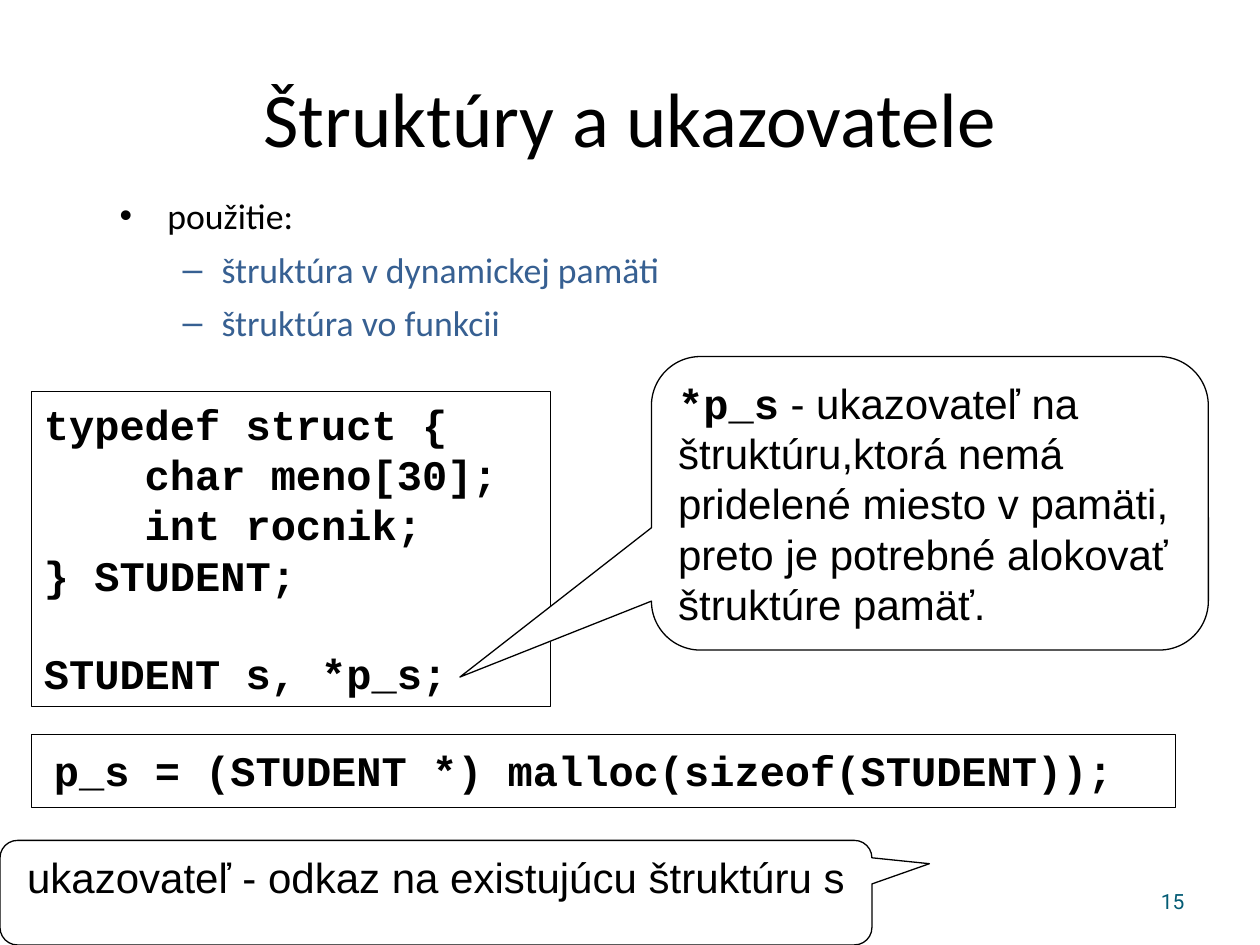
"""Builds a slide on C structures and pointers."""
from pptx import Presentation
from pptx.dml.color import RGBColor
from pptx.enum.shapes import MSO_SHAPE
from pptx.enum.text import MSO_ANCHOR, MSO_AUTO_SIZE, PP_ALIGN
from pptx.oxml.ns import qn
from pptx.util import Inches, Pt
from lxml import etree

RECTANGLE = MSO_SHAPE.RECTANGLE
CALLOUT = MSO_SHAPE.ROUNDED_RECTANGULAR_CALLOUT
TOP, MIDDLE = MSO_ANCHOR.TOP, MSO_ANCHOR.MIDDLE
LEFT, CENTER, RIGHT = PP_ALIGN.LEFT, PP_ALIGN.CENTER, PP_ALIGN.RIGHT
FIT, NO_FIT = MSO_AUTO_SIZE.SHAPE_TO_FIT_TEXT, MSO_AUTO_SIZE.NONE
BLACK, WHITE, BLUE, TEAL = "000000", "FFFFFF", "376092", "045C75"
CODE = {"name": "Courier New", "bold": True}


def color(value):
    return RGBColor.from_string(value)


def add_span(para, text, name="Arial", size=24, ink=BLACK, bold=False):
    span = para.add_run()
    span.text = text
    span.font.name = name
    span.font.size = Pt(size)
    span.font.bold = bold
    span.font.color.rgb = color(ink)


def add_bullet(para, mark, ink, margin, hanging):
    properties = para._p.get_or_add_pPr()
    properties.set("marL", str(Inches(margin)))
    properties.set("indent", str(-Inches(hanging)))
    holder = etree.SubElement(properties, qn("a:buClr"))
    etree.SubElement(holder, qn("a:srgbClr"), val=ink)
    etree.SubElement(properties, qn("a:buFont"), typeface="Arial")
    etree.SubElement(properties, qn("a:buChar"), char=mark)


class SlideBuilder:
    """Holds the style and the current slide."""

    def __init__(self, slide):
        self.slide = slide
        self.shapes = slide.shapes
        self.line_width = Pt(0.75)

    def prepare(self, box, anchor=TOP, wrap=True, fit=NO_FIT):
        frame = box.text_frame
        frame.word_wrap = wrap
        frame.auto_size = fit
        frame.vertical_anchor = anchor
        return frame

    def label(self, place, text, shapes=None, align=LEFT, anchor=TOP,
              wrap=True, fit=NO_FIT, **style):
        box = (shapes or self.shapes).add_textbox(*map(Inches, place))
        para = self.prepare(box, anchor, wrap, fit).paragraphs[0]
        para.alignment = align
        add_span(para, text, **style)

    def outlined(self, kind, place, shapes=None):
        shape = (shapes or self.shapes).add_shape(kind, *map(Inches, place))
        shape.shadow.inherit = False
        shape.fill.solid()
        shape.fill.fore_color.rgb = color(WHITE)
        shape.line.color.rgb = color(BLACK)
        shape.line.width = self.line_width
        return shape

    def bullets(self, place, items):
        frame = self.prepare(self.shapes.add_textbox(*map(Inches, place)))
        for index, (level, text) in enumerate(items):
            para = frame.paragraphs[0] if index == 0 else frame.add_paragraph()
            mark, ink, margin, hanging = (("•", BLACK, 0.38, 0.38),
                                          ("–", BLUE, 0.81, 0.31))[level]
            para.level = level
            if index:
                para.space_before = Pt(6)
            add_bullet(para, mark, ink, margin, hanging)
            add_span(para, text, name="Calibri", size=20.4, ink=ink)

    def code_block(self, place, blocks, gap):
        frame = self.prepare(self.outlined(RECTANGLE, place), fit=FIT)
        para = None
        for block in blocks:
            for index, line in enumerate(block):
                first = para is None
                para = frame.paragraphs[0] if first else frame.add_paragraph()
                para.alignment = LEFT
                if index == 0 and not first:
                    para.space_before = Pt(gap)
                add_span(para, line, **CODE)

    def framed_code(self, frame_place, text_place, text):
        group = self.shapes.add_group_shape()
        self.outlined(RECTANGLE, frame_place, group.shapes)
        self.label(text_place, text, group.shapes, wrap=False, fit=FIT, **CODE)

    def callout(self, place, tip, spans, align=LEFT):
        shape = self.outlined(CALLOUT, place)
        shape.adjustments[0], shape.adjustments[1] = tip
        shape.adjustments[2] = 0.167
        para = self.prepare(shape).paragraphs[0]
        para.alignment = align
        for text, style in spans:
            add_span(para, text, **style)


def main():
    deck = Presentation()
    deck.slide_width, deck.slide_height = Inches(10), Inches(7.5)
    page = SlideBuilder(deck.slides.add_slide(deck.slide_layouts[6]))

    page.label((0.5, 0.3, 9, 1.25), "Štruktúry a ukazovatele",
               align=CENTER, anchor=MIDDLE, name="Calibri", size=44)
    page.bullets((0.85, 1.49, 7.89, 1.26), [
        (0, "použitie:"),
        (1, "štruktúra v dynamickej pamäti"),
        (1, "štruktúra vo funkcii"),
    ])
    page.label((7.17, 6.95, 2.33, 0.4), "15", align=RIGHT, anchor=MIDDLE,
               name="Roboto", size=12, ink=TEAL)
    page.code_block((0.25, 3.11, 4.12, 2.5), [
        ["typedef struct {", "    char meno[30];", "    int rocnik;", "} STUDENT;"],
        ["STUDENT s, *p_s;"],
    ], gap=27.2)
    page.framed_code((0.25, 5.83, 9.08, 0.58), (0.33, 5.86, 8.6, 0.5),
                     "p_s = (STUDENT *) malloc(sizeof(STUDENT));")
    page.callout((5.17, 2.83, 4.42, 2.33), (-0.844, 0.592), [
        ("*p_s", CODE),
        (" - ukazovateľ na štruktúru,ktorá nemá pridelené miesto v pamäti, "
         "preto je potrebné alokovať štruktúre pamäť.", {}),
    ])
    page.callout((0, 6.67, 6.92, 0.83), (0.566, -0.277),
                 [("ukazovateľ - odkaz na existujúcu štruktúru s", {})], CENTER)
    deck.save("out.pptx")


if __name__ == "__main__":
    main()
